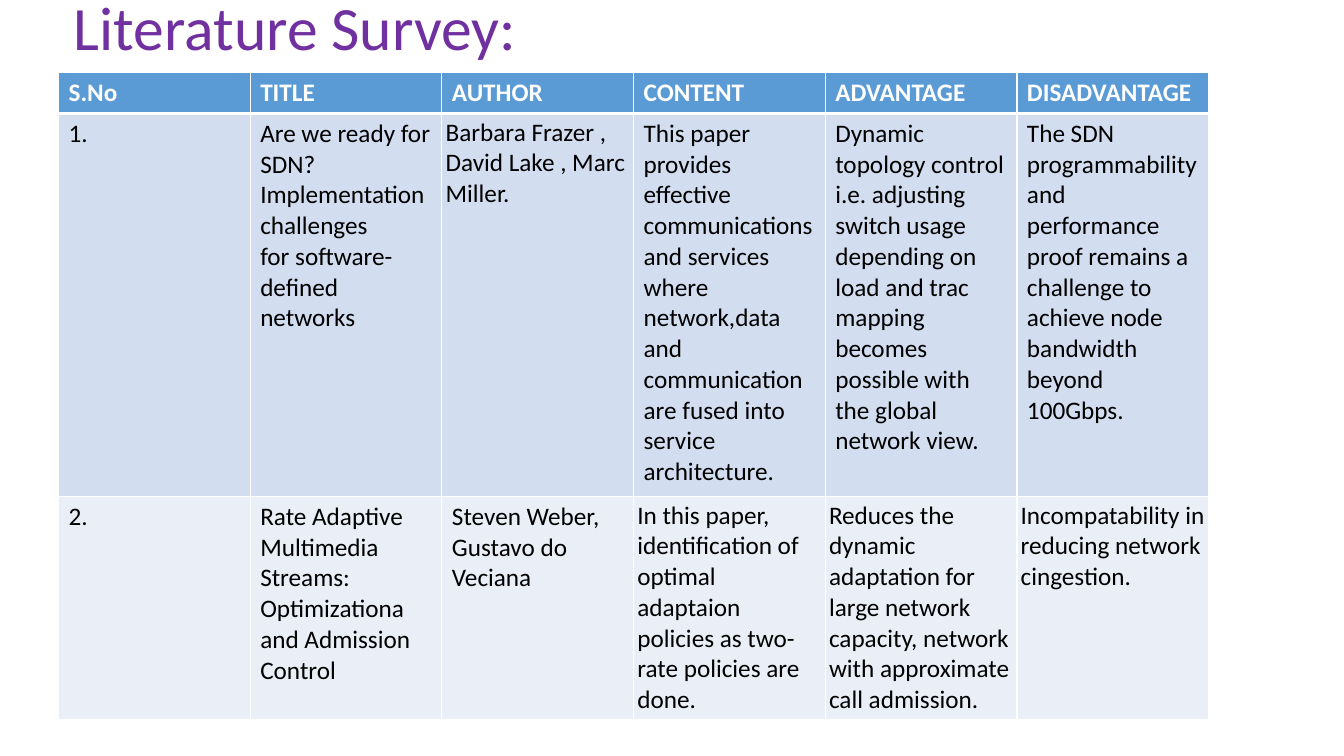
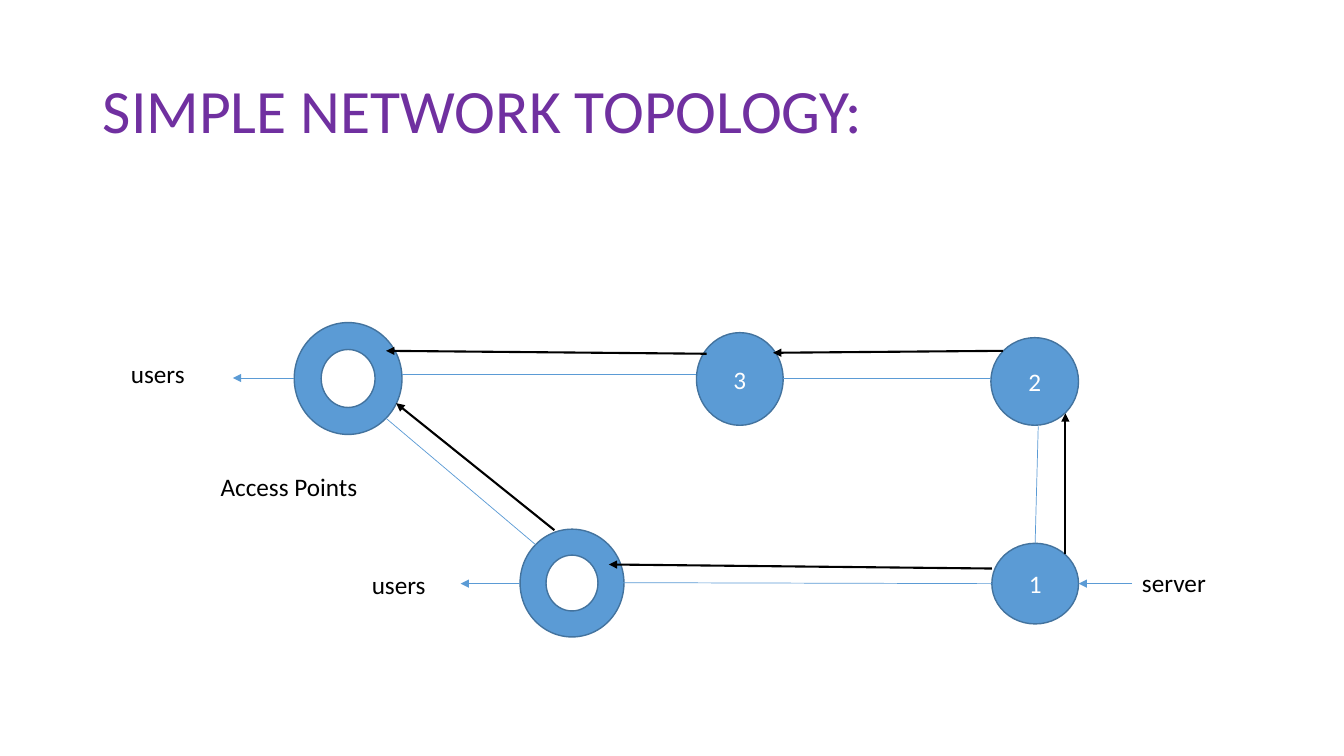
from dataclasses import dataclass

from lxml import etree
from pptx import Presentation
from pptx.dml.color import RGBColor
from pptx.enum.shapes import MSO_CONNECTOR, MSO_SHAPE
from pptx.enum.text import MSO_ANCHOR, MSO_AUTO_SIZE, PP_ALIGN
from pptx.oxml.ns import qn
from pptx.util import Pt

STRAIGHT = MSO_CONNECTOR.STRAIGHT
DONUT, OVAL = MSO_SHAPE.DONUT, MSO_SHAPE.OVAL
MIDDLE = MSO_ANCHOR.MIDDLE
LEFT, CENTER = PP_ALIGN.LEFT, PP_ALIGN.CENTER
NO_FIT, GROW = MSO_AUTO_SIZE.NONE, MSO_AUTO_SIZE.SHAPE_TO_FIT_TEXT
TITLE_ONLY = 5


@dataclass(frozen=True)
class Theme:
    font: str = "Calibri"
    title_size: float = 44
    body_size: float = 18
    title: str = "7030A0"
    accent: str = "5B9BD5"
    outline: str = "43739E"
    dark: str = "000000"
    light: str = "FFFFFF"
    bands: tuple = ("D2DEEF", "EAEFF7")
    thin: float = 0.5
    medium: float = 1
    bold: float = 1.5
    heavy: float = 3


THEME = Theme()

# Literature table
HEADINGS = ("S.No", "TITLE", "AUTHOR", "CONTENT", "ADVANTAGE", "DISADVANTAGE")
PAPERS = (
    (
        "1.",
        "Are we ready for SDN? Implementation challenges\n"
        "for software-defined networks",
        "Barbara Frazer , David Lake , Marc Miller.",
        "This paper provides effective communications and services where "
        "network,data and communication are fused into service architecture.",
        "Dynamic\n"
        "topology control i.e. adjusting switch usage depending on load and "
        "trac mapping becomes\n"
        "possible with the global network view.",
        "The SDN programmability and performance proof remains a challenge "
        "to achieve node bandwidth beyond 100Gbps.",
    ),
    (
        "2.",
        "Rate Adaptive Multimedia Streams: Optimizationa and Admission Control",
        "Steven Weber, Gustavo do Veciana",
        "In this paper, identification of optimal adaptaion policies as "
        "two-rate policies are done.",
        "Reduces the dynamic adaptation for large network capacity, network "
        "with approximate call admission.",
        "Incompatability in reducing network cingestion.",
    ),
)
ROW_HEIGHTS = (29.2, 273.6, 157)
COLUMN_WIDTH = 136.92
NARROW_MARGIN = 2.7
NARROW_CELLS = {(1, 2), (2, 3), (2, 4), (2, 5)}

# Network: boxes are left, top, width, height; lines are x1, y1, x2, y2
ACCESS_POINTS = ((210.2, 230.4, 77, 79.9), (371.5, 378, 74.2, 77))
SWITCHES = (
    ("3", (497.5, 237.6, 61.9, 66.2)),
    ("2", (707.8, 241.2, 62.6, 62.6)),
    ("1", (708.5, 388.1, 61.9, 57.6)),
)
LINKS = (
    (287.3, 267.1, 497.5, 267.1),
    (559.4, 270, 707.8, 270),
    (741.6, 304.6, 739.4, 388.1),
    (445, 416.2, 708.5, 416.9),
    (275.8, 298.8, 382.3, 388.8),
)
ROUTES = (
    (396, 378.7, 283, 288),
    (708.5, 406.1, 434.9, 403.2),
    (716.4, 250.6, 552.2, 252),
    (761, 396, 761, 295.2),
    (504.7, 252.7, 275.8, 250.6),
)
END_ARROWS = (
    (210.2, 270, 166.3, 270),
    (808.6, 416.9, 770.4, 416.9),
    (371.5, 416.9, 329, 416.9),
)
LABEL_HEIGHT = 28.8
LABELS = (
    ("Access Points", 150.5, 333.4, 157.7),
    ("users", 86.4, 252.7, 73.4),
    ("server", 808.6, 401.8, 85),
    ("users", 258.5, 403.2, 60.5),
)


def rgb(color):
    return RGBColor.from_string(color)


def points(values):
    return [Pt(value) for value in values]


def style_text(text_frame, color, size=THEME.body_size, bold=False, align=LEFT):
    for paragraph in text_frame.paragraphs:
        paragraph.alignment = align
        font = paragraph.font
        font.name, font.size, font.bold = THEME.font, Pt(size), bold
        font.color.rgb = rgb(color)


def paint(fill, color):
    fill.solid()
    fill.fore_color.rgb = rgb(color)


def add_titled_slide(presentation, text, box):
    slide = presentation.slides.add_slide(presentation.slide_layouts[TITLE_ONLY])
    title = slide.shapes.title
    title.left, title.top, title.width, title.height = points(box)
    text_frame = title.text_frame
    text_frame.text = text
    text_frame.word_wrap = True
    text_frame.auto_size = NO_FIT
    text_frame.vertical_anchor = MIDDLE
    text_frame.paragraphs[0].line_spacing = 0.9
    style_text(text_frame, THEME.title, THEME.title_size)
    return slide


def set_borders(cell, top, bottom):
    properties = cell._tc.get_or_add_tcPr()
    widths = {"lnL": THEME.medium, "lnR": THEME.medium, "lnT": top, "lnB": bottom}
    for tag, width in widths.items():
        line = etree.SubElement(properties, qn(f"a:{tag}"), w=str(Pt(width)))
        fill = etree.SubElement(line, qn("a:solidFill"))
        etree.SubElement(fill, qn("a:srgbClr"), val=THEME.light)


def fill_cell(cell, text, row, column):
    header = row == 0
    # The heavy rule lies between the header and the first paper
    set_borders(
        cell,
        top=THEME.heavy if row == 1 else THEME.medium,
        bottom=THEME.heavy if header else THEME.medium,
    )
    paint(cell.fill, THEME.accent if header else THEME.bands[(row - 1) % 2])
    cell.text = text
    if (row, column) in NARROW_CELLS:
        margin = Pt(NARROW_MARGIN)
        cell.margin_left = cell.margin_right = margin
        cell.margin_top = cell.margin_bottom = margin
    style_text(cell.text_frame, THEME.light if header else THEME.dark, bold=header)


def add_survey_table(slide, left, top):
    rows = (HEADINGS,) + PAPERS
    box = (left, top, COLUMN_WIDTH * len(HEADINGS), sum(ROW_HEIGHTS))
    table = slide.shapes.add_table(len(rows), len(HEADINGS), *points(box)).table
    for column in table.columns:
        column.width = Pt(COLUMN_WIDTH)
    for row, texts in enumerate(rows):
        table.rows[row].height = Pt(ROW_HEIGHTS[row])
        for column, text in enumerate(texts):
            fill_cell(table.cell(row, column), text, row, column)


def add_node(slide, kind, box, text=""):
    shape = slide.shapes.add_shape(kind, *points(box))
    shape.shadow.inherit = False
    paint(shape.fill, THEME.accent)
    shape.line.color.rgb = rgb(THEME.outline)
    shape.line.width = Pt(THEME.medium)
    if text:
        shape.text_frame.text = text
        shape.text_frame.vertical_anchor = MIDDLE
        style_text(shape.text_frame, THEME.light, align=CENTER)


def add_line(slide, ends, color, width, arrow=False):
    connector = slide.shapes.add_connector(STRAIGHT, *points(ends))
    connector.line.color.rgb = rgb(color)
    connector.line.width = Pt(width)
    properties = connector.element.spPr
    if arrow:
        etree.SubElement(properties.find(qn("a:ln")), qn("a:tailEnd"), type="triangle")
    etree.SubElement(properties, qn("a:effectLst"))


def add_label(slide, text, left, top, width):
    label = slide.shapes.add_textbox(*points((left, top, width, LABEL_HEIGHT)))
    label.text_frame.text = text
    label.text_frame.word_wrap = True
    label.text_frame.auto_size = GROW
    style_text(label.text_frame, THEME.dark)


def build_survey(presentation):
    slide = add_titled_slide(
        presentation, "Literature Survey:", (45.4, -37.4, 828, 118.8)
    )
    add_survey_table(slide, 41.8, 51.8)


def build_topology(presentation):
    slide = add_titled_slide(
        presentation, "SIMPLE NETWORK TOPOLOGY:", (66.2, 28.8, 828, 104.4)
    )
    # Nodes
    for box in ACCESS_POINTS:
        add_node(slide, DONUT, box)
    for number, box in SWITCHES:
        add_node(slide, OVAL, box, number)
    # Physical links, then routes and outside traffic
    for ends in LINKS:
        add_line(slide, ends, THEME.accent, THEME.thin)
    for ends in ROUTES:
        add_line(slide, ends, THEME.dark, THEME.bold, arrow=True)
    for ends in END_ARROWS:
        add_line(slide, ends, THEME.accent, THEME.thin, arrow=True)
    for label in LABELS:
        add_label(slide, *label)


def main():
    presentation = Presentation()
    presentation.slide_width, presentation.slide_height = Pt(960), Pt(540)
    build_survey(presentation)
    build_topology(presentation)
    presentation.save("out.pptx")


main()
